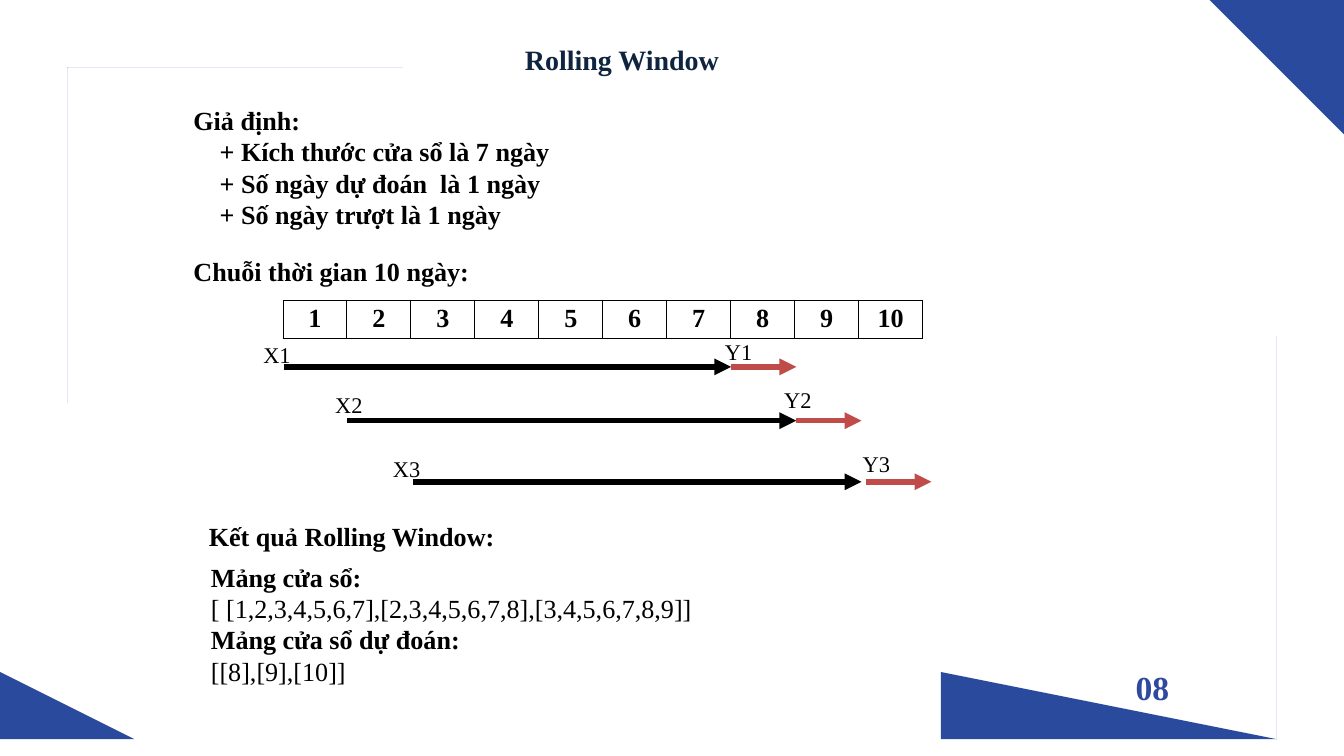
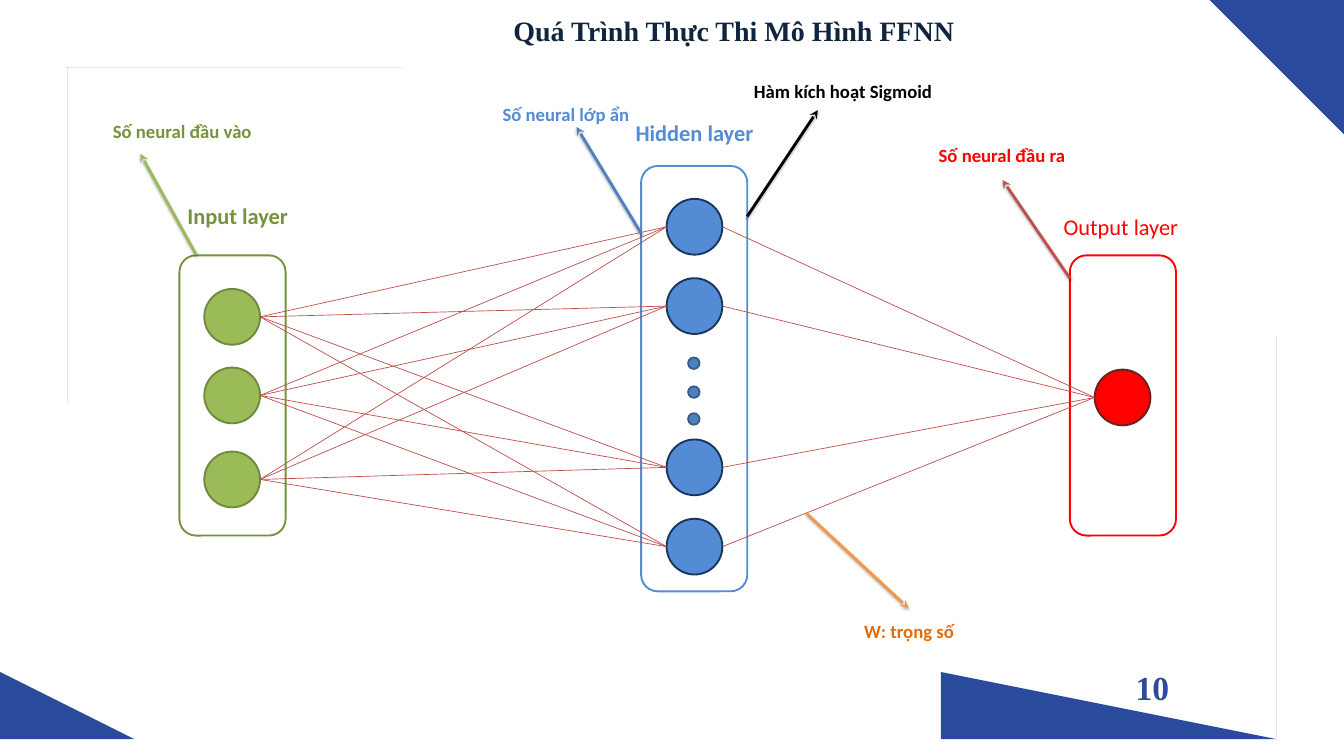
from itertools import product

from lxml import etree
from pptx import Presentation
from pptx.dml.color import RGBColor
from pptx.enum.shapes import MSO_CONNECTOR, MSO_SHAPE
from pptx.enum.text import MSO_AUTO_SIZE, PP_ALIGN
from pptx.oxml.ns import qn
from pptx.util import Inches, Pt

STRAIGHT = MSO_CONNECTOR.STRAIGHT
OVAL, ROUNDED = MSO_SHAPE.OVAL, MSO_SHAPE.ROUNDED_RECTANGLE
LEFT, CENTER = PP_ALIGN.LEFT, PP_ALIGN.CENTER
FIT_SHAPE = MSO_AUTO_SIZE.SHAPE_TO_FIT_TEXT

BLACK = RGBColor(0x00, 0x00, 0x00)
WHITE = RGBColor(0xFF, 0xFF, 0xFF)
NAVY = RGBColor(0x0F, 0x24, 0x3E)
FRAME_BLUE = RGBColor(0x2A, 0x4A, 0x9D)
NUMBER_BLUE = RGBColor(0x2F, 0x4A, 0x9D)
FORECAST_RED = RGBColor(0xBF, 0x4C, 0x48)
WEIGHT_RED = RGBColor(0xBD, 0x4B, 0x48)
BRICK = RGBColor(0xC0, 0x50, 0x4D)
RED = RGBColor(0xFF, 0x00, 0x00)
DARK_RED = RGBColor(0x63, 0x24, 0x23)
GREEN = RGBColor(0x9B, 0xBB, 0x59)
DARK_GREEN = RGBColor(0x76, 0x92, 0x3C)
GREEN_EDGE = RGBColor(0x71, 0x88, 0x40)
BLUE = RGBColor(0x53, 0x8C, 0xD5)
BLUE_EDGE = RGBColor(0x17, 0x36, 0x5D)
STEEL = RGBColor(0x4F, 0x81, 0xBD)
STEEL_EDGE = RGBColor(0x39, 0x5E, 0x89)
ORANGE = RGBColor(0xF7, 0x96, 0x46)
DARK_ORANGE = RGBColor(0xE3, 0x6C, 0x09)

SERIF = "Times New Roman"
TITLE = {"name": SERIF, "size": Pt(30), "bold": True}
NUMBER = {"name": SERIF, "size": Pt(36), "bold": True}
HEADING = {"name": SERIF, "size": Pt(28), "bold": True}
BODY = {"name": SERIF, "size": Pt(28), "bold": False}
WINDOW_LABEL = {"name": SERIF, "size": Pt(24), "bold": False}
NOTE = {"name": "Calibri", "size": Pt(20), "bold": True}


def add_text(slide, box, lines, color, align=LEFT, margins=(0.1, 0.05)):
    """Add a text box; each line is (text, font format, indent in inches)."""
    frame = slide.shapes.add_textbox(*map(Inches, box)).text_frame
    frame.word_wrap = True
    frame.auto_size = FIT_SHAPE
    frame.margin_left = frame.margin_right = Inches(margins[0])
    frame.margin_top = frame.margin_bottom = Inches(margins[1])
    for index, (text, font_format, indent) in enumerate(lines):
        paragraph = frame.add_paragraph() if index else frame.paragraphs[0]
        paragraph.alignment = align
        if indent:
            paragraph._p.get_or_add_pPr().set("marL", str(Inches(indent)))
        run = paragraph.add_run()
        run.text = text
        for name, value in font_format.items():
            setattr(run.font, name, value)
        run.font.color.rgb = color


def add_line(slide, start, end, color, width, head=None, shadow=False):
    connector = slide.shapes.add_connector(STRAIGHT, *map(Inches, (*start, *end)))
    connector.line.color.rgb = color
    connector.line.width = Pt(width)
    properties = connector._element.spPr
    if head:
        etree.SubElement(properties.find(qn("a:ln")), qn("a:tailEnd"), type=head)
    effects = etree.SubElement(properties, qn("a:effectLst"))
    if shadow:
        outer = etree.SubElement(effects, qn("a:outerShdw"), blurRad=str(Pt(3.1)),
                                 dist=str(Pt(1.8)), dir="5400000", rotWithShape="0")
        shade = etree.SubElement(outer, qn("a:srgbClr"), val=str(BLACK))
        etree.SubElement(shade, qn("a:alpha"), val="35000")


presentation = Presentation()
presentation.slide_width = Inches(20)
presentation.slide_height = Inches(11.25)
blank_layout = presentation.slide_layouts[6]

# Shared frame, title and number
frame_outlines = [
    [[(1.75, 11.33), (-0.03, 11.33), (-0.03, 9.54)]],
    [[(0.93, 5.93), (0.94, 0.68), (1.36, 0.68), (1.15, 0.89), (1.14, 5.72)],
     [(1.15, 0.89), (1.36, 0.68), (6.2, 0.68), (5.99, 0.89)]],
    [[(19.14, 5.47), (19.11, 10.73), (18.69, 10.73), (18.91, 10.52), (18.93, 5.68)],
     [(18.91, 10.52), (18.69, 10.73), (13.86, 10.71), (14.07, 10.5)]],
    [[(18.21, 0), (20, 0), (20, 1.79)]],
]
slide_heads = [
    ("Rolling Window", (5.88, 0.64), CENTER, "08"),
    ("Quá Trình Thực Thi Mô Hình FFNN", (7.64, 0.2), LEFT, "10"),
]
slides = []
for title, place, align, number in slide_heads:
    slide = presentation.slides.add_slide(blank_layout)
    slides.append(slide)
    for contours in frame_outlines:
        builder = slide.shapes.build_freeform(*contours[0][0], scale=Inches(1))
        for contour in contours:
            if contour is not contours[0]:
                builder.move_to(*contour[0])
            builder.add_line_segments(contour[1:], close=True)
        shape = builder.convert_to_shape()
        shape.shadow.inherit = False
        shape.fill.solid()
        shape.fill.fore_color.rgb = FRAME_BLUE
        shape.line.fill.background()
    add_text(slide, (*place, 6.75, 0.5), [(title, TITLE, 0)], NAVY, align, (0, 0))
    add_text(slide, (16.57, 9.87, 1.16, 0.71), [(number, NUMBER, 0)],
             NUMBER_BLUE, CENTER)
window_slide, network_slide = slides

# Rolling window: texts
text_blocks = [
    ((2.78, 1.5, 6.91, 1.99), [
        ("Giả định:", HEADING, 0),
        ("+ Kích thước cửa sổ là 7 ngày", HEADING, 0.39),
        ("+ Số ngày dự đoán  là 1 ngày", HEADING, 0.39),
        ("+ Số ngày trượt là 1 ngày", HEADING, 0.39)]),
    ((2.78, 3.75, 6.91, 0.57), [("Chuỗi thời gian 10 ngày:", HEADING, 0)]),
    ((3.01, 7.7, 6.91, 0.57), [("Kết quả Rolling Window:", HEADING, 0)]),
    ((3.04, 8.3, 11.53, 1.99), [
        ("Mảng cửa sổ:", HEADING, 0),
        ("[ [1,2,3,4,5,6,7],[2,3,4,5,6,7,8],[3,4,5,6,7,8,9]]", BODY, 0),
        ("Mảng cửa sổ dự đoán:", HEADING, 0),
        ("[[8],[9],[10]]", BODY, 0)]),
]
for box, lines in text_blocks:
    add_text(window_slide, box, lines, BLACK)

# Rolling window: the ten days
day_count = 10
day_table = window_slide.shapes.add_table(
    1, day_count, Inches(4.21), Inches(4.47), Inches(9.52), Inches(0.57)).table
day_table.first_row = day_table.horz_banding = False
for day in range(day_count):
    day_table.columns[day].width = Inches(0.952)
    cell = day_table.cell(0, day)
    for side in ("a:lnL", "a:lnR", "a:lnT", "a:lnB"):
        border = etree.SubElement(cell._tc.get_or_add_tcPr(), qn(side), w=str(Pt(1)))
        border_fill = etree.SubElement(border, qn("a:solidFill"))
        etree.SubElement(border_fill, qn("a:srgbClr"), val=str(BLACK))
    cell.fill.background()
    paragraph = cell.text_frame.paragraphs[0]
    paragraph.alignment = CENTER
    run = paragraph.add_run()
    run.text = str(day + 1)
    for name, value in HEADING.items():
        setattr(run.font, name, value)
    run.font.color.rgb = BLACK

# Rolling window: input and forecast spans
windows = [
    (5.46, 4.23, 10.88, 10.88, (3.82, 5.02), (10.69, 4.98)),
    (6.26, 5.17, 11.85, 11.85, (4.89, 5.77), (11.57, 5.7)),
    (7.17, 6.14, 12.82, 12.89, (5.75, 6.73), (12.74, 6.65)),
]
for index, (y, start, end, forecast, x_place, y_place) in enumerate(windows, 1):
    add_line(window_slide, (start, y), (end, y), BLACK, 6, "triangle")
    add_line(window_slide, (forecast, y), (forecast + 0.97, y), FORECAST_RED, 6, "triangle")
    for letter, place in (("X", x_place), ("Y", y_place)):
        add_text(window_slide, (*place, 1.13, 0.5),
                 [(f"{letter}{index}", WINDOW_LABEL, 0)], BLACK)

# Network: layers and neurons
NEURON = 0.83
DOT = 0.17
INPUT_X, HIDDEN_X, OUTPUT_X = 3.04, 9.92, 16.29
input_tops = [4.3, 5.47, 6.72]
hidden_tops = [2.96, 4.14, 6.54, 7.72]
output_tops = [5.5]
network_shapes = [
    (ROUNDED, (2.67, 3.8, 1.58, 4.17), WHITE, DARK_GREEN),
    (ROUNDED, (9.54, 2.47, 1.58, 6.33), WHITE, BLUE),
    (ROUNDED, (15.92, 3.8, 1.58, 4.17), WHITE, RED),
]
circle_columns = [
    (INPUT_X, input_tops, NEURON, GREEN, GREEN_EDGE),
    (HIDDEN_X, hidden_tops, NEURON, BLUE, BLUE_EDGE),
    (10.24, [5.32, 5.75, 6.15], DOT, STEEL, STEEL_EDGE),
    (OUTPUT_X, output_tops, NEURON, RED, DARK_RED),
]
for left, tops, size, fill, edge in circle_columns:
    network_shapes += [(OVAL, (left, top, size, size), fill, edge) for top in tops]
for kind, box, fill, edge in network_shapes:
    shape = network_slide.shapes.add_shape(kind, *map(Inches, box))
    shape.shadow.inherit = False
    shape.fill.solid()
    shape.fill.fore_color.rgb = fill
    shape.line.color.rgb = edge
    shape.line.width = Pt(2)
    if kind == ROUNDED:
        shape.adjustments[0] = 0.156

# Network: weights between neighbouring layers
layer_pairs = [
    (INPUT_X, input_tops, HIDDEN_X, hidden_tops),
    (HIDDEN_X, hidden_tops, OUTPUT_X, output_tops),
]
for from_x, from_tops, to_x, to_tops in layer_pairs:
    for from_top, to_top in product(from_tops, to_tops):
        add_line(network_slide, (from_x + NEURON, from_top + NEURON / 2),
                 (to_x, to_top + NEURON / 2), WEIGHT_RED, 0.75)

# Network: callout arrows and labels
callouts = [
    ((2.92, 3.79), (2.09, 2.29), GREEN),
    ((9.54, 3.47), (8.58, 1.89), STEEL),
    ((15.92, 4.14), (14.92, 2.68), BRICK),
    ((11.12, 3.22), (12.17, 1.64), BLACK),
    ((12, 7.64), (13.52, 9.05), ORANGE),
]
for start, end, color in callouts:
    add_line(network_slide, start, end, color, 3, "stealth", shadow=True)

layer_name = {**NOTE, "size": Pt(24)}
labels = [
    ("Input layer", (2.69, 2.96, 1.75, 0.5), layer_name, DARK_GREEN),
    ("Hidden layer", (9.36, 1.73, 2.08, 0.5), layer_name, BLUE),
    ("Output layer", (15.73, 3.12, 1.96, 0.5), {**layer_name, "bold": False}, RED),
    ("Số neural đầu vào", (1.58, 1.73, 2.29, 0.44), NOTE, DARK_GREEN),
    ("Số neural lớp ẩn", (7.38, 1.48, 2.16, 0.44), NOTE, BLUE),
    ("Số neural đầu ra", (13.87, 2.09, 2.51, 0.44), NOTE, RED),
    ("Hàm kích hoạt Sigmoid", (11.12, 1.14, 2.92, 0.44), NOTE, BLACK),
    ("W: trọng số", (12.76, 9.18, 3.62, 0.44), NOTE, DARK_ORANGE),
]
for text, box, font_format, color in labels:
    add_text(network_slide, box, [(text, font_format, 0)], color)

presentation.save("out.pptx")
